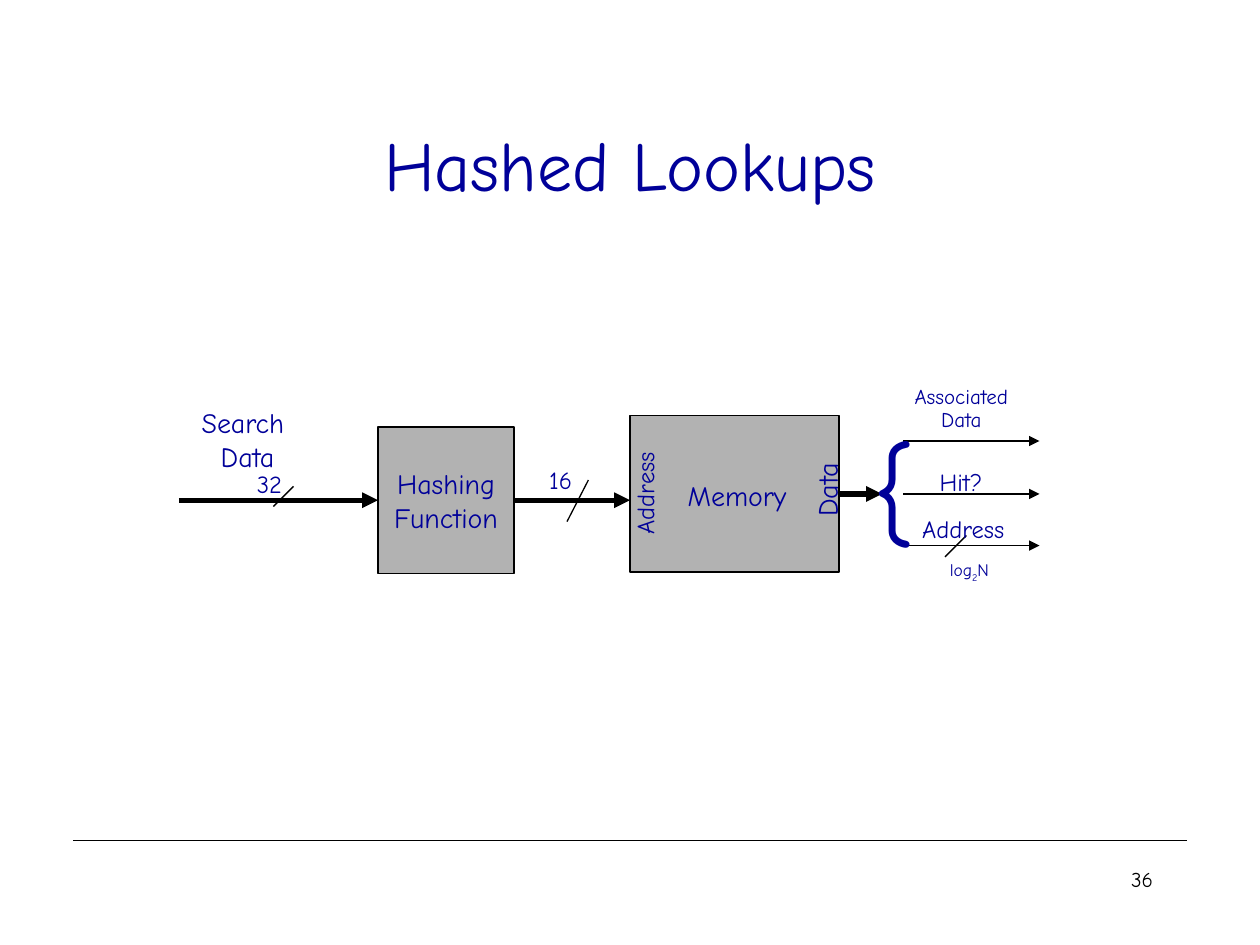
"""Build the Hashed Lookups slide: a block diagram of a hash-addressed memory."""
from lxml.etree import SubElement
from pptx import Presentation
from pptx.dml.color import RGBColor
from pptx.enum.shapes import MSO_CONNECTOR, MSO_SHAPE
from pptx.enum.text import MSO_ANCHOR, MSO_AUTO_SIZE, PP_ALIGN
from pptx.oxml.ns import qn
from pptx.util import Inches, Pt

NAVY, BLACK, GRAY = "000099", "000000", "B2B2B2"
LEFT, CENTER, RIGHT = PP_ALIGN.LEFT, PP_ALIGN.CENTER, PP_ALIGN.RIGHT


def write(frame, lines, size, align=LEFT, color=NAVY, spacing=None, **frame_format):
    for name, value in frame_format.items():
        setattr(frame, name, value)
    for index, line in enumerate(lines):
        paragraph = frame.paragraphs[0] if index == 0 else frame.add_paragraph()
        paragraph.alignment = align
        paragraph.line_spacing = spacing
        for part in line.split("|"):
            run = paragraph.add_run()
            run.text = part
            run.font.name = "Comic Neue"
            run.font.size = Pt(size)
            run.font.color.rgb = RGBColor.from_string(color)


def draw_line(x1, y1, x2, y2, width=0.75, arrow=False):
    line = slide.shapes.add_connector(
        MSO_CONNECTOR.STRAIGHT, Inches(x1), Inches(y1), Inches(x2), Inches(y2))
    line.line.color.rgb = RGBColor.from_string(BLACK)
    line.line.width = Pt(width)
    if arrow:
        SubElement(line.line._get_or_add_ln(), qn("a:tailEnd"), type="triangle")
    SubElement(line._element.spPr, qn("a:effectLst"))
    return line


presentation = Presentation()
presentation.slide_width, presentation.slide_height = Inches(10), Inches(7.5)
slide = presentation.slides.add_slide(presentation.slide_layouts[5])

title = slide.shapes.title
title.left, title.top = Inches(0.75), Inches(0.67)
title.width, title.height = Inches(8.5), Inches(1.25)
write(title.text_frame, ["Hashed Lookups"], 40, CENTER,
      vertical_anchor=MSO_ANCHOR.MIDDLE, word_wrap=True)

draw_line(0.58, 6.67, 9.42, 6.67)
page_number = slide.shapes.add_textbox(
    Inches(7.17), Inches(6.83), Inches(2.08), Inches(0.5))
write(page_number.text_frame, ["36"], 12, RIGHT, BLACK, word_wrap=True)

blocks = []
for x, y, width, height in [(3, 3.39, 1.08, 1.16), (5, 3.3, 1.66, 1.24)]:
    block = slide.shapes.add_shape(
        MSO_SHAPE.RECTANGLE, Inches(x), Inches(y), Inches(width), Inches(height))
    block.shadow.inherit = False
    block.fill.solid()
    block.fill.fore_color.rgb = RGBColor.from_string(GRAY)
    block.line.color.rgb = RGBColor.from_string(BLACK)
    block.line.width = Pt(0.75)
    blocks.append(block)
hashing, memory = blocks
write(hashing.text_frame, ["Hashing", "Function"], 16, CENTER,
      vertical_anchor=MSO_ANCHOR.MIDDLE, word_wrap=False)

search_bus = draw_line(1.42, 3.97, 3, 3.97, 3, arrow=True)
search_bus.end_connect(hashing, 1)
hash_bus = draw_line(4.08, 3.97, 5, 3.97, 3, arrow=True)
hash_bus.begin_connect(hashing, 3)
data_bus = draw_line(6.66, 3.92, 7, 3.92, 3, arrow=True)
data_bus.begin_connect(memory, 3)

for output_y in (3.5, 3.92, 4.33):
    draw_line(7.17, output_y, 8.25, output_y, 1, arrow=True)
for slash in [(2.17, 4.02, 2.33, 3.86), (4.5, 4.14, 4.67, 3.81), (7.5, 4.42, 7.67, 4.25)]:
    draw_line(*slash)

labels = [
    (["Memory"], 5.36, 3.75, 1.1, 0.37, 16, {}),
    (["Address"], 4.69, 3.74, 0.86, 0.34, 14, {"rotation": 270}),
    (["Data"], 6.25, 3.7, 0.63, 0.37, 16, {"rotation": 270}),
    (["Search ", "Data"], 1.5, 3.17, 0.93, 0.64, 16, {"align": CENTER}),
    (["32"], 1.94, 3.67, 0.4, 0.34, 14, {}),
    (["16"], 4.26, 3.64, 0.38, 0.34, 14, {}),
    (["Associated", "Data"], 7.16, 3.02, 0.94, 0.46, 12, {"align": CENTER, "spacing": 0.9}),
    (["Hit?"], 7.36, 3.66, 0.54, 0.34, 14, {}),
    (["Address"], 7.22, 4.03, 0.86, 0.34, 14, {}),
    (["{"], 6.83, 3.27, 0.54, 1.2, 66, {}),
    (["log|2|N"], 7.44, 4.39, 0.51, 0.29, 10, {}),
]
for lines, x, y, width, height, size, style in labels:
    label = slide.shapes.add_textbox(Inches(x), Inches(y), Inches(width), Inches(height))
    label.rotation = style.pop("rotation", 0)
    write(label.text_frame, lines, size, word_wrap=False,
          auto_size=MSO_AUTO_SIZE.SHAPE_TO_FIT_TEXT, **style)

log_base = label.text_frame.paragraphs[0].runs[1]
log_base.font._element.set("baseline", "-25000")

presentation.save("out.pptx")
